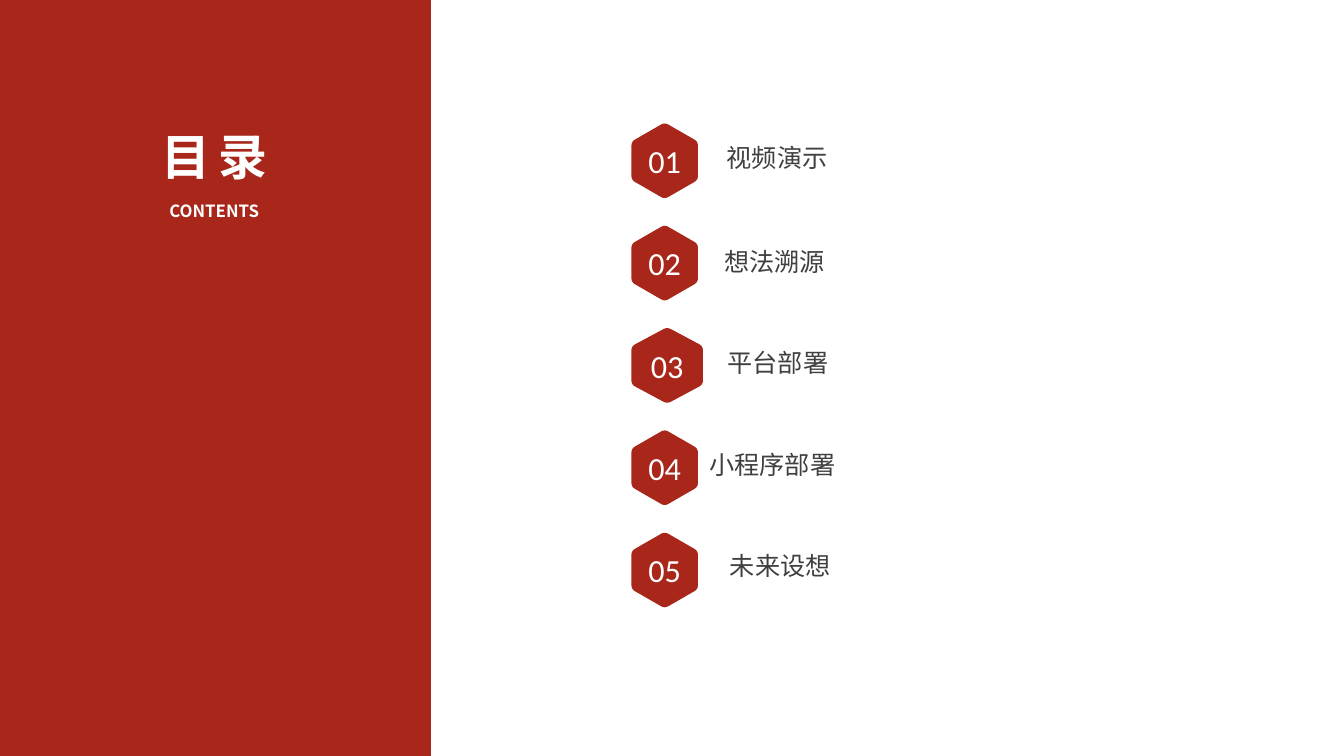
"""Build a contents slide with a red sidebar and five numbered hexagon entries."""
import pptx
import pptx.dml.color
import pptx.enum.shapes
import pptx.enum.text
import pptx.oxml.ns
import pptx.util
from lxml import etree
from pptx.util import Inches

RED = pptx.dml.color.RGBColor(0xA8, 0x27, 0x1A)
WHITE = pptx.dml.color.RGBColor(0xFF, 0xFF, 0xFF)
GREY = pptx.dml.color.RGBColor(0x40, 0x40, 0x40)
CHINESE_FONT = "Noto Sans CJK SC"
NUMBER_FONT = "Calibri"

FIRST_CENTRE, PITCH = 3.19, 2.03
BADGE_LEFT = 12.53
BADGE_HALF_WIDTH, WIDE_HALF_WIDTH = 0.66, 0.71
APEX, SHOULDER = 0.76, 0.38
CORNER_SHARE = 0.11
CORNER_STEPS = 6

ENTRIES = [
    ("视频演示", (14.16, 2.78, 2.52, 0.81), BADGE_HALF_WIDTH),
    ("想法溯源", (14.16, 4.83, 2.42, 0.78), BADGE_HALF_WIDTH),
    ("平台部署", (14.29, 6.84, 2.29, 0.81), WIDE_HALF_WIDTH),
    ("小程序部署", (13.96, 8.87, 2.73, 0.81), BADGE_HALF_WIDTH),
    ("未来设想", (14.16, 10.87, 2.65, 0.86), BADGE_HALF_WIDTH),
]


def paint(shape, colour):
    shape.shadow.inherit = False
    shape.fill.solid()
    shape.fill.fore_color.rgb = colour
    shape.line.fill.background()


def add_text(shapes, text, box, size, colour, font_name=CHINESE_FONT,
             bold=False, spacing=0, anchor=pptx.enum.text.MSO_ANCHOR.TOP):
    frame = shapes.add_textbox(*map(Inches, box)).text_frame
    frame.word_wrap = True
    frame.vertical_anchor = anchor
    frame.margin_left = frame.margin_right = Inches(0.05)
    frame.margin_top = frame.margin_bottom = Inches(0.05)
    paragraph = frame.paragraphs[0]
    paragraph.alignment = pptx.enum.text.PP_ALIGN.CENTER
    run = paragraph.add_run()
    run.text = text
    run.font.name = font_name
    run.font.size = pptx.util.Pt(size)
    run.font.bold = bold
    run.font.color.rgb = colour
    properties = run.font._element
    east_asian = etree.SubElement(properties, pptx.oxml.ns.qn("a:ea"))
    east_asian.set("typeface", font_name)
    if spacing:
        properties.set("spc", str(round(spacing * 100)))


def between(start, end, share):
    return tuple(a + (b - a) * share for a, b in zip(start, end))


def rounded_outline(vertices):
    points = []
    for index, vertex in enumerate(vertices):
        entry = between(vertex, vertices[index - 1], CORNER_SHARE)
        leave = between(vertex, vertices[(index + 1) % len(vertices)], CORNER_SHARE)
        for step in range(CORNER_STEPS + 1):
            share = step / CORNER_STEPS
            points.append(between(between(entry, vertex, share),
                                  between(vertex, leave, share), share))
    return [(Inches(x), Inches(y)) for x, y in points]


def add_hexagon(shapes, x, y, half_width):
    start, *rest = rounded_outline([
        (x, y - APEX), (x + half_width, y - SHOULDER),
        (x + half_width, y + SHOULDER), (x, y + APEX),
        (x - half_width, y + SHOULDER), (x - half_width, y - SHOULDER),
    ])
    builder = shapes.build_freeform(*start)
    builder.add_line_segments(rest, close=True)
    paint(builder.convert_to_shape(), RED)


def add_entry(slide, number, label, label_box, half_width):
    shapes = slide.shapes.add_group_shape().shapes
    x = BADGE_LEFT + half_width
    y = FIRST_CENTRE + PITCH * (number - 1)
    add_text(shapes, label, label_box, 36, GREY)
    add_hexagon(shapes, x, y, half_width)
    add_text(shapes, f"{number:02}", (x - 0.85, y - 0.53, 1.7, 1.05), 46, WHITE,
             NUMBER_FONT, anchor=pptx.enum.text.MSO_ANCHOR.MIDDLE)


def add_sidebar(slide):
    panel = slide.shapes.add_shape(
        pptx.enum.shapes.MSO_SHAPE.RECTANGLE,
        Inches(-0.03), Inches(0), Inches(8.58), Inches(15))
    paint(panel, RED)
    add_text(slide.shapes, "CONTENTS", (2.17, 3.93, 4.16, 0.99), 24, WHITE, bold=True)
    add_text(slide.shapes, "目录", (1.42, 2.46, 5.68, 2.85), 70, WHITE,
             bold=True, spacing=11.7)


def main():
    deck = pptx.Presentation()
    deck.slide_width, deck.slide_height = Inches(26.67), Inches(15)
    slide = deck.slides.add_slide(deck.slide_layouts[6])
    add_sidebar(slide)
    for number, entry in enumerate(ENTRIES, start=1):
        add_entry(slide, number, *entry)
    deck.save("out.pptx")


if __name__ == "__main__":
    main()
